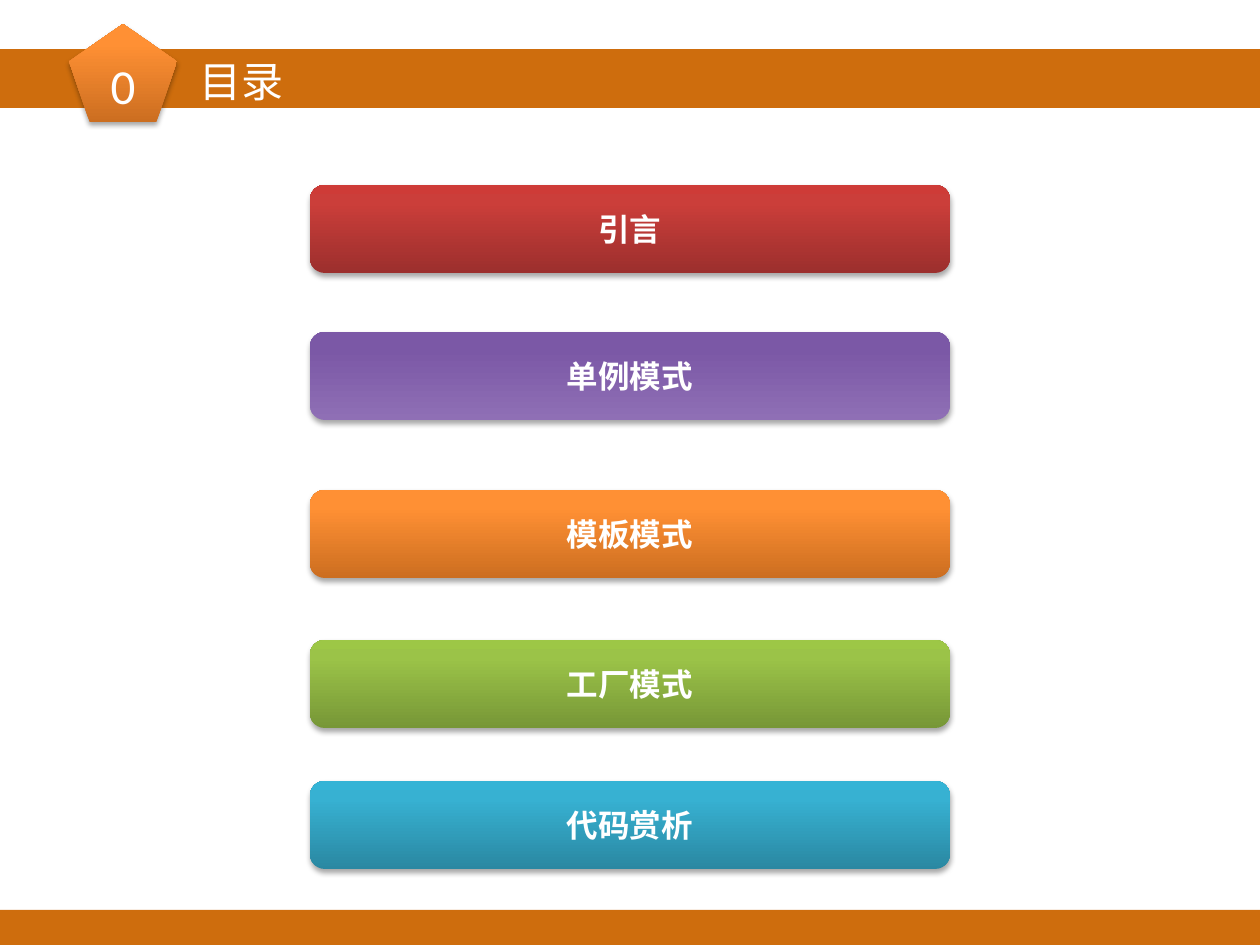
from copy import deepcopy

from lxml import etree
from pptx import Presentation
from pptx.dml.color import RGBColor
from pptx.enum.shapes import MSO_SHAPE
from pptx.enum.text import MSO_ANCHOR, MSO_AUTO_SIZE, PP_ALIGN
from pptx.oxml.ns import qn
from pptx.util import Emu, Pt

RECTANGLE = MSO_SHAPE.RECTANGLE
ROUNDED = MSO_SHAPE.ROUNDED_RECTANGLE
PENTAGON = MSO_SHAPE.REGULAR_PENTAGON
MIDDLE = MSO_ANCHOR.MIDDLE
GROW = MSO_AUTO_SIZE.SHAPE_TO_FIT_TEXT
CENTER = PP_ALIGN.CENTER

EMU_PER_PX = 914400 / 126
CHINESE = "Noto Sans CJK SC"
LATIN = "Calibri"

COLORS = {"bar": "CC6600", "text": "FFFFFF", "shadow": "000000"}
# Gradient colours from bottom to top
GRADIENTS = {
    "red": ("9C2F2D", "CB3E3A", "CE3B37"),
    "purple": ("8F6FB5", "7B58A6", "7C57A8"),
    "orange": ("CC6E20", "FF9034", "FF9136"),
    "green": ("779737", "9BC348", "9DC746"),
    "blue": ("2A88A2", "37B1D2", "34B4D6"),
}
STOPS = (0, 0.8, 1)

# Top, label and gradient of each agenda entry
ENTRIES = [
    (185, "引言", "red"),
    (332, "单例模式", "purple"),
    (490, "模板模式", "orange"),
    (640, "工厂模式", "green"),
    (781, "代码赏析", "blue"),
]


def px(*lengths):
    return [Emu(round(length * EMU_PER_PX)) for length in lengths]


def add_text(shape, text, size, font, bold=False):
    paragraph = shape.text_frame.paragraphs[0]
    run = paragraph.add_run()
    run.text = text
    run.font.size = Pt(size)
    run.font.bold = bold
    run.font.name = font
    run.font.color.rgb = RGBColor.from_string(COLORS["text"])
    east_asian = etree.SubElement(run.font._element, qn("a:ea"))
    east_asian.set("typeface", CHINESE)
    return paragraph


def add_bar(slide, top, height):
    shape = slide.shapes.add_shape(RECTANGLE, *px(0, top, 1264, height))
    shape.shadow.inherit = False
    shape.line.fill.background()
    shape.fill.solid()
    shape.fill.fore_color.rgb = RGBColor.from_string(COLORS["bar"])
    color = shape._element.spPr.find(".//" + qn("a:srgbClr"))
    etree.SubElement(color, qn("a:alpha")).set("val", "95000")


def fill_gradient(shape, colors):
    shape.fill.gradient()
    shape.fill.gradient_angle = 90
    stop_list = shape._element.spPr.find(".//" + qn("a:gsLst"))
    stop_list.append(deepcopy(stop_list[-1]))
    for stop, position, color in zip(shape.fill.gradient_stops, STOPS, colors):
        stop.position = position
        stop.color.rgb = RGBColor.from_string(color)


def add_shadow(shape):
    shape.shadow.inherit = False
    effects = shape._element.spPr.find(qn("a:effectLst"))
    shadow = etree.SubElement(effects, qn("a:outerShdw"), blurRad=str(Pt(3.1)),
                              dist=str(Pt(1.8)), dir="5400000", rotWithShape="0")
    color = etree.SubElement(shadow, qn("a:srgbClr"), val=COLORS["shadow"])
    etree.SubElement(color, qn("a:alpha"), val="35000")


def add_glossy_shape(slide, kind, box, gradient, text, size, font, bold):
    shape = slide.shapes.add_shape(kind, *px(*box))
    shape.line.fill.background()
    fill_gradient(shape, GRADIENTS[gradient])
    add_shadow(shape)
    shape.text_frame.vertical_anchor = MIDDLE
    add_text(shape, text, size, font, bold).alignment = CENTER


def add_title(slide, text):
    box = slide.shapes.add_textbox(*px(187, 49, 561, 64))
    box.text_frame.word_wrap = True
    box.text_frame.auto_size = GROW
    add_text(box, text, 24, CHINESE)


def main():
    presentation = Presentation()
    presentation.slide_width, presentation.slide_height = px(1260, 945)
    slide = presentation.slides.add_slide(presentation.slide_layouts[6])

    # Footer and header bars
    add_bar(slide, 910, 40)
    add_bar(slide, 49, 59)

    # Section badge and title
    add_glossy_shape(slide, PENTAGON, (69, 24, 108, 98), "orange",
                     "0", 28, LATIN, False)
    add_title(slide, "目录")

    # Agenda entries
    for top, label, gradient in ENTRIES:
        add_glossy_shape(slide, ROUNDED, (310, top, 640, 88), gradient,
                         label, 18, CHINESE, True)

    presentation.save("out.pptx")


if __name__ == "__main__":
    main()
